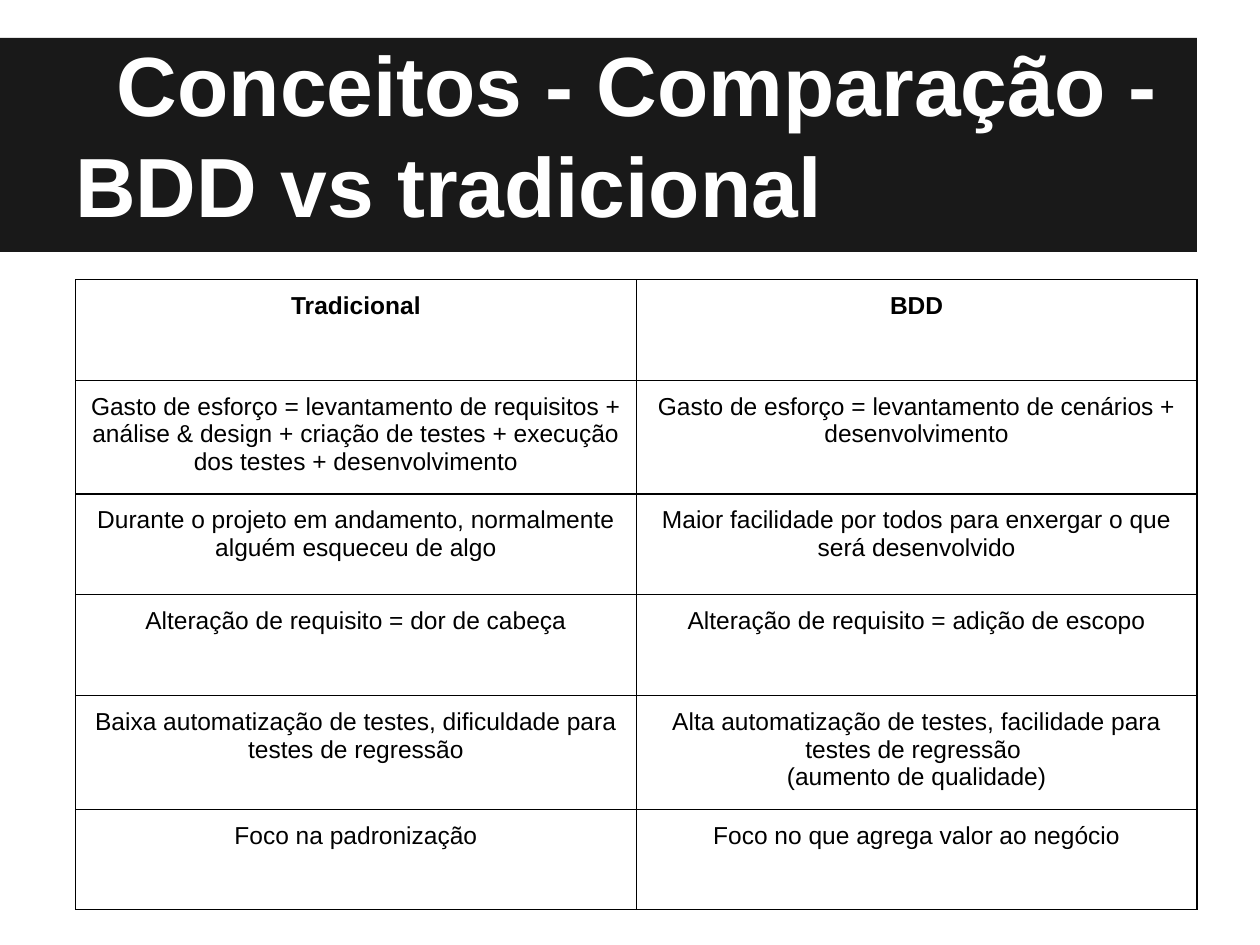
from lxml import etree
from pptx import Presentation
from pptx.dml.color import RGBColor
from pptx.enum.shapes import MSO_SHAPE
from pptx.enum.text import MSO_ANCHOR, MSO_AUTO_SIZE, PP_ALIGN
from pptx.oxml.ns import qn
from pptx.util import Inches, Pt

RECT = MSO_SHAPE.RECTANGLE
BOTTOM = MSO_ANCHOR.BOTTOM
GROW = MSO_AUTO_SIZE.SHAPE_TO_FIT_TEXT
LEFT, CENTER = PP_ALIGN.LEFT, PP_ALIGN.CENTER

WIDE, HIGH = 10, 7.5
INSET = Inches(0.1)
COLORS = {"band": "191919", "title": "FFFFFF", "text": "000000", "line": "000000"}
ROWS = [
    ("Tradicional", "BDD"),
    ("Gasto de esforço = levantamento de requisitos + análise & design + "
     "criação de testes + execução dos testes + desenvolvimento",
     "Gasto de esforço = levantamento de cenários + desenvolvimento"),
    ("Durante o projeto em andamento, normalmente alguém esqueceu de algo",
     "Maior facilidade por todos para enxergar o que será desenvolvido"),
    ("Alteração de requisito = dor de cabeça",
     "Alteração de requisito = adição de escopo"),
    ("Baixa automatização de testes, dificuldade para testes de regressão",
     "Alta automatização de testes, facilidade para testes de regressão \n"
     "(aumento de qualidade)"),
    ("Foco na padronização", "Foco no que agrega valor ao negócio"),
]


def paint(color):
    return RGBColor.from_string(COLORS[color])


def put_text(frame, text, size=14, color="text", bold=False, align=CENTER, indent=0):
    frame.word_wrap = True
    frame.text = text
    for para in frame.paragraphs:
        para.alignment = align
        if indent:
            para._p.get_or_add_pPr().set("indent", str(Inches(indent)))
        for run in para.runs:
            font = run.font
            font.name, font.size, font.bold = "Arial", Pt(size), bold
            font.color.rgb = paint(color)


def set_inset(box):
    box.margin_left = box.margin_right = INSET
    box.margin_top = box.margin_bottom = INSET


def add_band(slide):
    band = slide.shapes.add_shape(
        RECT, 0, Inches(0.04 * HIGH), Inches(0.95 * WIDE), Inches(1.7))
    band.shadow.inherit = False
    band.fill.solid()
    band.fill.fore_color.rgb = paint("band")
    band.line.fill.background()


def add_title(slide, text):
    box = slide.shapes.add_textbox(
        Inches(0.05 * WIDE), Inches(0.04 * HIGH), Inches(0.9 * WIDE), Inches(1.66))
    frame = box.text_frame
    set_inset(frame)
    put_text(frame, text, size=48, color="title", bold=True, align=LEFT, indent=0.33)
    frame.vertical_anchor = BOTTOM
    frame.auto_size = GROW


def add_edges(cell):
    props = cell._tc.get_or_add_tcPr()
    for side in ("a:lnL", "a:lnR", "a:lnT", "a:lnB"):
        line = etree.SubElement(props, qn(side), w=str(Pt(0.75)))
        fill = etree.SubElement(line, qn("a:solidFill"))
        etree.SubElement(fill, qn("a:srgbClr"), val=COLORS["line"])


def add_grid(slide, rows):
    cols = len(rows[0])
    table = slide.shapes.add_table(
        len(rows), cols, Inches(0.06 * WIDE), Inches(2.22),
        Inches(0.89 * WIDE), Inches(0.8 * len(rows))).table
    table.first_row = table.horz_banding = False
    for r, row in enumerate(rows):
        for c, text in enumerate(row):
            cell = table.cell(r, c)
            set_inset(cell)
            put_text(cell.text_frame, text, bold=r == 0)
            add_edges(cell)
            cell.fill.background()


def main():
    deck = Presentation()
    deck.slide_width, deck.slide_height = Inches(WIDE), Inches(HIGH)
    slide = deck.slides.add_slide(deck.slide_layouts[6])
    add_band(slide)
    add_title(slide, "Conceitos - Comparação - BDD vs tradicional")
    add_grid(slide, ROWS)
    deck.save("out.pptx")


if __name__ == "__main__":
    main()
